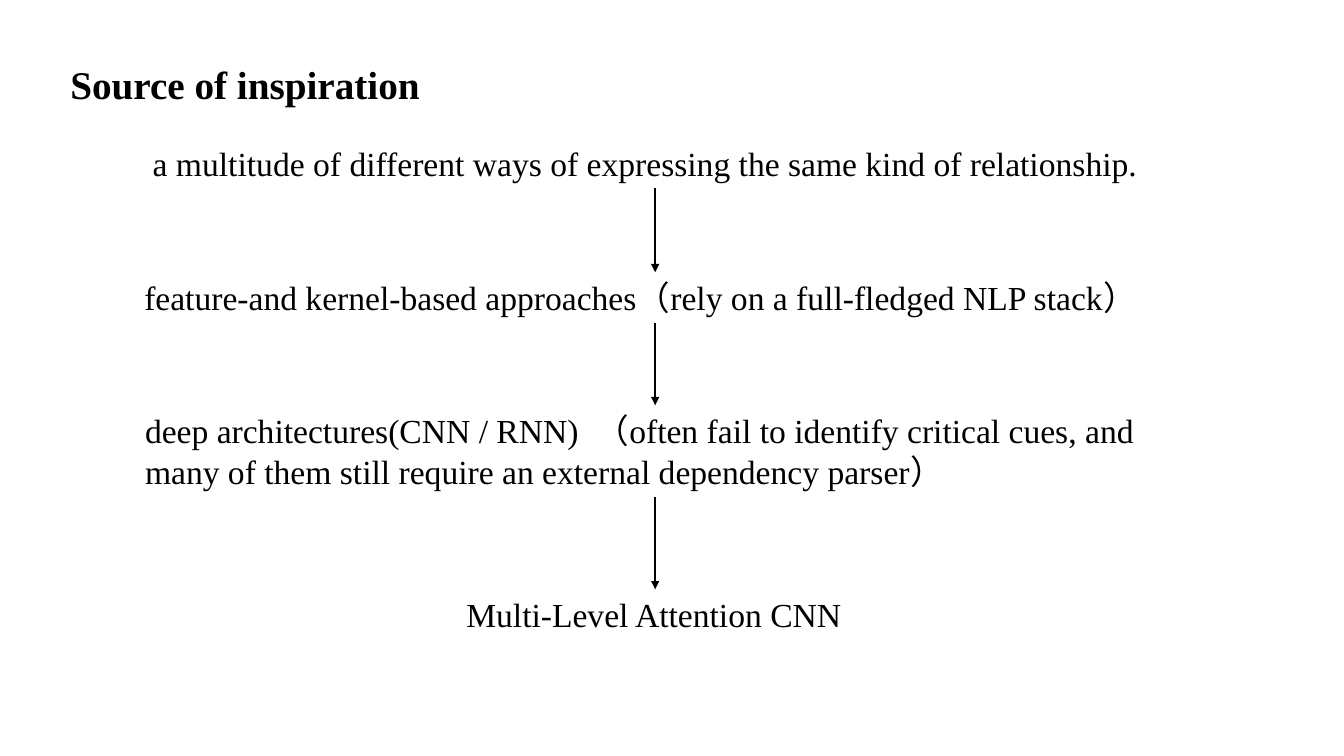
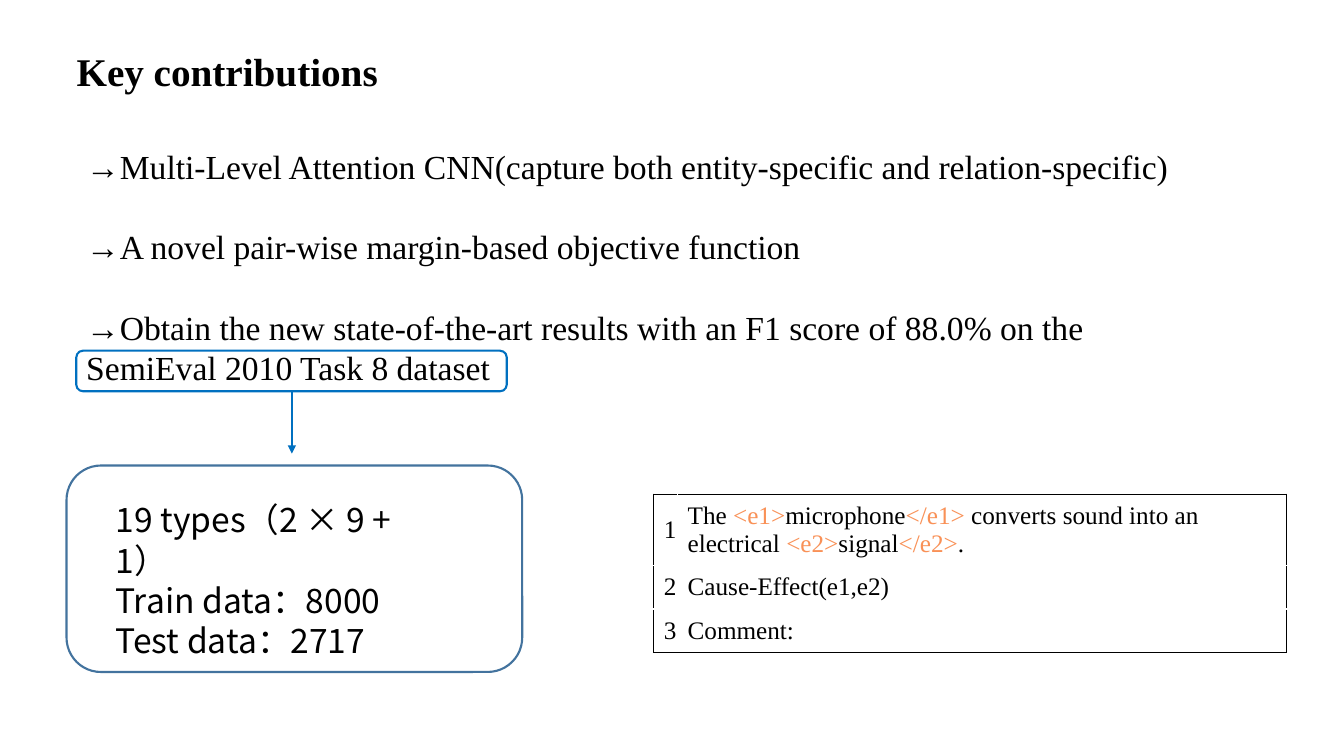
from pptx import Presentation
from pptx.util import Pt
from pptx.dml.color import RGBColor
from pptx.enum import shapes, text
from pptx.oxml import parse_xml
from pptx.oxml.ns import nsdecls, qn
from lxml import etree

# Content
STEPS = [  # words, left, top, width, height
    ("a multitude of different ways of expressing the same kind of relationship. ",
     102, 98.5, 732, 36),
    ("feature-and kernel-based approaches（rely on a full-fledged NLP stack）",
     96, 194.5, 745, 36),
    ("deep architectures(CNN / RNN)  （often fail to identify critical cues, "
     "and many of them still require an external dependency parser）",
     96.5, 289.5, 744, 65.5),
    ("Multi-Level Attention CNN", 326, 421, 285, 36),
]
POINTS = [
    "→Multi-Level Attention CNN(capture both entity-specific and relation-specific)",
    "→A novel pair-wise margin-based objective function ",
    "→Obtain the new state-of-the-art results with an F1 score of 88.0% on the "
    "SemiEval 2010 Task 8 dataset",
]
FACTS = ["19 types（2 × 9 + 1）", "Train data：8000", "Test data：2717"]
SAMPLE = [  # runs that start with "<" are tags
    ["The ", "<e1>", "microphone", "</e1>", " converts sound into an electrical ",
     "<e2>", "signal", "</e2>", "."],
    ["Cause-Effect(e1,e2)"],
    ["Comment:"],
]

# Shared style
HUE = {"ink": "000000", "blue": "0070C0", "steel": "43739E", "tag": "F99157"}
SERIF, SANS = "Times New Roman", "Noto Sans CJK SC"
LINE = 28.8

deck = Presentation()
deck.slide_width, deck.slide_height = Pt(960), Pt(540)


def color(name):
    return RGBColor.from_string(HUE[name])


def style(run, size, face=SERIF, hue="ink", bold=False):
    font = run.font
    font.size, font.name, font.bold = Pt(size), face, bold
    font.color.rgb = color(hue)
    east = etree.SubElement(run._r.get_or_add_rPr(), qn("a:ea"))
    east.set("typeface", SANS)


def start(title, *box):
    slide = deck.slides.add_slide(deck.slide_layouts[5])
    head = slide.shapes.title
    head.left, head.top, head.width, head.height = map(Pt, box)
    frame = head.text_frame
    frame.text = title
    frame.auto_size = text.MSO_AUTO_SIZE.NONE
    frame.vertical_anchor = text.MSO_ANCHOR.TOP
    frame.paragraphs[0].alignment = text.PP_ALIGN.LEFT
    style(frame.paragraphs[0].runs[0], 28, bold=True)
    return slide


def write(slide, lines, box, face=SERIF, gap=0):
    frame = slide.shapes.add_textbox(*map(Pt, box)).text_frame
    frame.word_wrap = True
    frame.text = "\n".join(lines)
    for row, para in enumerate(frame.paragraphs):
        para.line_spacing = Pt(LINE)
        para.space_before = Pt(gap if row else 0)
        style(para.runs[0], 24, face)


def arrow(slide, x, top, end, hue):
    line = slide.shapes.add_connector(
        shapes.MSO_CONNECTOR.STRAIGHT, Pt(x), Pt(top), Pt(x), Pt(end))
    line.line.color.rgb, line.line.width = color(hue), Pt(1.5)
    tail = etree.SubElement(line.line._get_or_add_ln(), qn("a:tailEnd"))
    tail.set("type", "triangle")
    etree.SubElement(line._element.spPr, qn("a:effectLst"))


def frame_box(slide, hue, *box):
    shape = slide.shapes.add_shape(
        shapes.MSO_SHAPE.ROUNDED_RECTANGLE, *map(Pt, box))
    shape.shadow.inherit = False
    shape.fill.background()
    shape.line.color.rgb, shape.line.width = color(hue), Pt(1.5)


def edge(cell, sides):
    props = cell._tc.get_or_add_tcPr()
    for place, side in enumerate(s for s in "LRTB" if s in sides):
        props.insert(place, parse_xml(
            f'<a:ln{side} {nsdecls("a")} w="12700"><a:solidFill>'
            f'<a:srgbClr val="{HUE["ink"]}"/></a:solidFill></a:ln{side}>'))


# Slide 1: chain of approaches
slide = start("Source of inspiration", 43, 39.5, 267, 41)
for words, *box in STEPS:
    write(slide, [words], box)
for above, below in zip(STEPS, STEPS[1:]):
    arrow(slide, 468, above[2] + above[4], below[2], "ink")

# Slide 2: contributions and the data set
slide = start("Key contributions ", 47.5, 30, 239, 41)
write(slide, POINTS, (54.5, 100.5, 813, 182), gap=LINE)
frame_box(slide, "blue", 54.5, 250.5, 307.5, 29)
arrow(slide, 208.5, 279.5, 324, "blue")
frame_box(slide, "steel", 47.5, 332.5, 325.5, 147.5)
write(slide, FACTS, (75.5, 353, 234, 94.5), SANS)

# Sample record, ruled on the outside only
grid = slide.shapes.add_table(
    3, 2, Pt(467), Pt(353), Pt(452), Pt(113)).table
grid.first_row = grid.horz_banding = False
for col, width in zip(grid.columns, (17, 435)):
    col.width = Pt(width)
for row, height in zip(grid.rows, (51, 31, 31)):
    row.height = Pt(height)
for r, parts in enumerate(SAMPLE):
    for c, runs in enumerate(([str(r + 1)], parts)):
        cell = grid.cell(r, c)
        cell.fill.background()
        cell.vertical_anchor = text.MSO_ANCHOR.MIDDLE
        cell.margin_right = Pt(0 if c == 0 else 7.2)
        for part in runs:
            run = cell.text_frame.paragraphs[0].add_run()
            run.text = part
            style(run, 18, hue="tag" if part.startswith("<") else "ink")
        edge(cell, "LR"[c] + {0: "T", 2: "B"}.get(r, ""))

deck.save("out.pptx")
